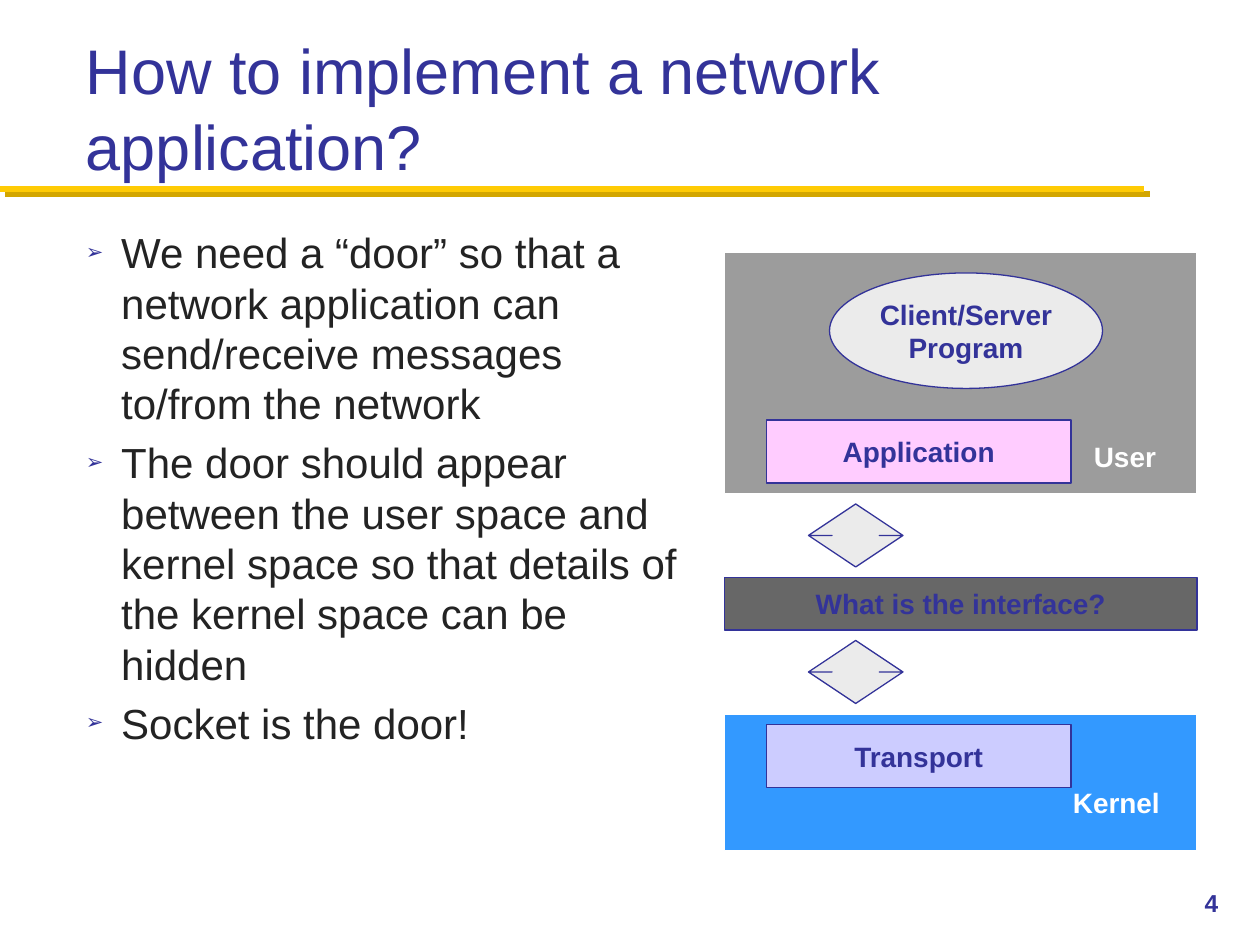
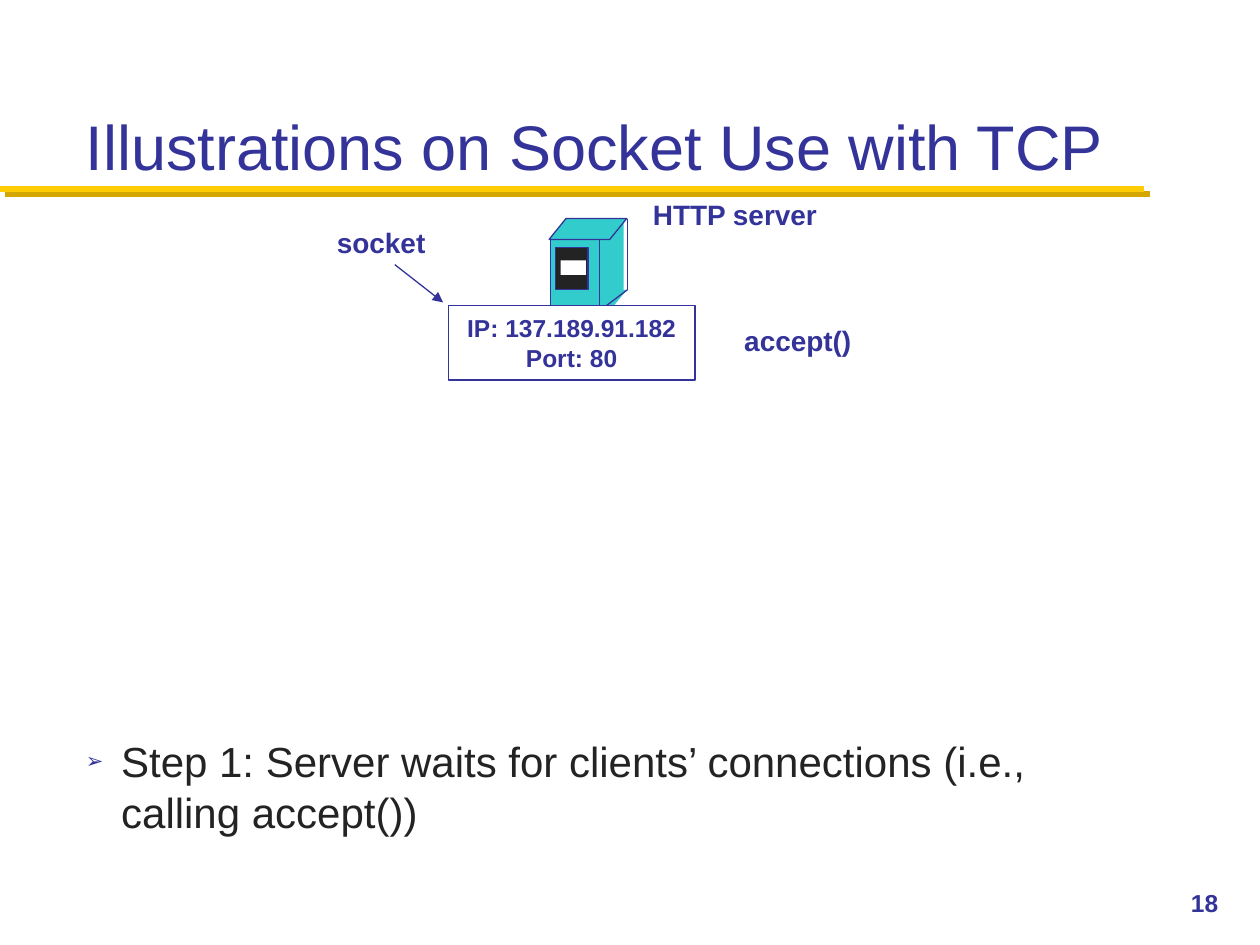
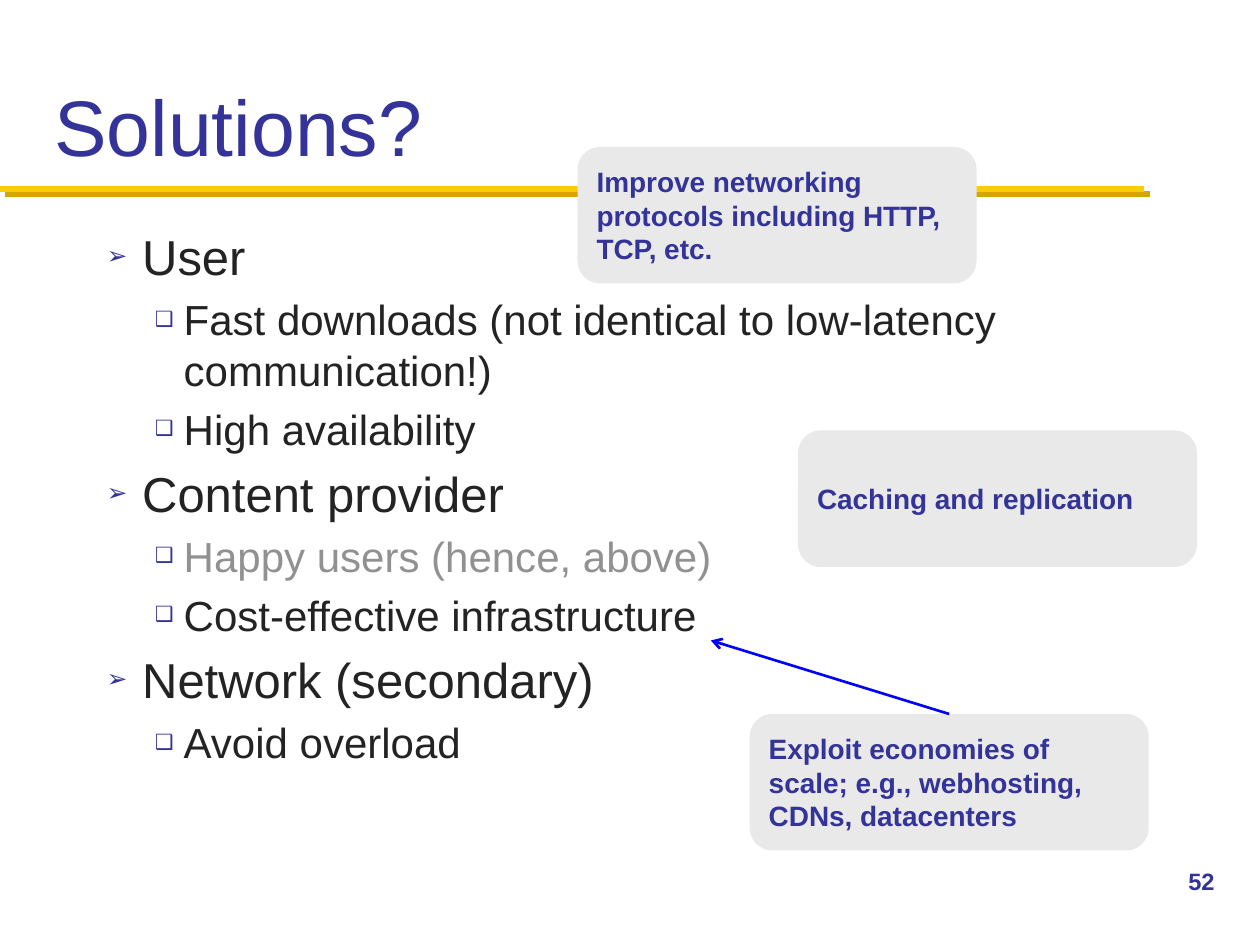
from lxml.etree import SubElement
from pptx import Presentation
from pptx.dml.color import RGBColor
from pptx.enum.shapes import MSO_CONNECTOR, MSO_SHAPE as Shape
from pptx.enum.text import MSO_ANCHOR as Anchor, PP_ALIGN as Align
from pptx.oxml.ns import qn
from pptx.util import Inches, Pt

color = RGBColor.from_string
NAVY, INK, GRAY, WHITE = "333399", "232323", "919191", "FFFFFF"
GOLD, DARK_GOLD, BLUE = "FFCB05", "D3A600", "0000FF"
PALE, TEAL, CALLOUT = "EBEBEB", "33CCCC", "E9E9E9"

deck = Presentation()
deck.slide_width, deck.slide_height = Inches(10), Inches(7.5)
COLUMN, ROW = deck.slide_width / 120, deck.slide_height / 90


def add_box(page, kind, at, text=(), fill=None, line=None, size=16, ink=NAVY,
            bold=True, align=Align.LEFT, anchor=Anchor.TOP, wrap=False):
    left, top, width, height = at
    place = [int(n) for n in (left * COLUMN, top * ROW, width * COLUMN, height * ROW)]
    if kind is None:
        box = page.shapes.add_textbox(*place)
    else:
        box = page.shapes.add_shape(kind, *place)
        box.shadow.inherit = False
        box.fill.solid()
        box.fill.fore_color.rgb = color(fill)
        if line:
            box.line.color.rgb = color(line)
            box.line.width = Pt(0.75)
        else:
            box.line.fill.background()
    frame = box.text_frame
    frame.word_wrap, frame.vertical_anchor = wrap, anchor
    for index, words in enumerate(text):
        para = frame.add_paragraph() if index else frame.paragraphs[0]
        para.alignment = align
        span = para.add_run()
        span.text = words
        for name, value in {"name": "Arial", "size": Pt(size), "bold": bold}.items():
            setattr(span.font, name, value)
        span.font.color.rgb = color(ink)
    return box


def add_line(page, start, end, ink=NAVY, weight=0.75, head=None):
    (x1, y1), (x2, y2) = start, end
    line = page.shapes.add_connector(
        MSO_CONNECTOR.STRAIGHT, int(x1 * COLUMN), int(y1 * ROW), int(x2 * COLUMN), int(y2 * ROW))
    line.line.color.rgb = color(ink)
    line.line.width = Pt(weight)
    if head:
        SubElement(line.line._get_or_add_ln(), qn("a:tailEnd"), type=head)
    SubElement(line._element.spPr, qn("a:effectLst"))
    return line


bullet_levels = [("➢", 0.28, -0.28), ("❑", 0.61, -0.23)]
outlines = [
    {"title": "How to implement a network application?", "title_at": (7, 3, 102.4, 15),
     "title_size": 36, "body_at": (7, 21, 60.4, 61),
     "number": "4", "number_at": (109, 84, 8.2, 6), "number_size": 14, "number_align": Align.RIGHT,
     "bullets": [
         (0, 24, INK, "We need a “door” so that a network application can send/receive messages to/from the network"),
         (0, 24, INK, "The door should appear between the user space and kernel space so that details of the kernel space can be hidden"),
         (0, 24, INK, "Socket is the door!")]},
    {"title": "Illustrations on Socket Use with TCP", "title_at": (7, 3, 113, 15),
     "title_size": 36, "body_at": (7, 69.5, 102, 12.5),
     "number": "18", "number_at": (109, 84, 8.2, 6), "number_size": 14, "number_align": Align.RIGHT,
     "bullets": [
         (0, 24, INK, "Step 1: Server waits for clients’ connections (i.e., calling accept())")]},
    {"title": "Solutions?", "title_at": (4, 2, 112, 15),
     "title_size": 45, "body_at": (9, 21, 104, 58),
     "number": "52", "number_at": (112, 82, 8, 6), "number_size": 13.5, "number_align": Align.LEFT,
     "bullets": [
         (0, 28, INK, "User"),
         (1, 24, INK, "Fast downloads (not identical to low-latency communication!)"),
         (1, 24, INK, "High availability"),
         (0, 28, INK, "Content provider"),
         (1, 24, GRAY, "Happy users (hence, above)"),
         (1, 24, INK, "Cost-effective infrastructure"),
         (0, 28, INK, "Network (secondary)"),
         (1, 24, INK, "Avoid overload")]},
]

pages = []
for outline in outlines:
    page = deck.slides.add_slide(deck.slide_layouts[6])
    pages.append(page)
    for offset, ink in ((0.5, DARK_GOLD), (0, GOLD)):
        add_line(page, (offset, 18 + offset), (109 + offset, 18 + offset), ink, 3.5)
    add_box(page, None, outline["title_at"], [outline["title"]], size=outline["title_size"],
            bold=False, anchor=Anchor.BOTTOM, wrap=True)
    add_box(page, None, outline["number_at"], [outline["number"]], size=outline["number_size"],
            align=outline["number_align"], wrap=True)
    frame = add_box(page, None, outline["body_at"], wrap=True).text_frame
    for index, (level, size, ink, words) in enumerate(outline["bullets"]):
        para = frame.add_paragraph() if index else frame.paragraphs[0]
        para.level = level
        if index:
            para.space_before = Pt(size * 0.2)
        mark, margin, indent = bullet_levels[level]
        props = para._p.get_or_add_pPr()
        props.set("marL", str(Inches(margin)))
        props.set("indent", str(Inches(indent)))
        SubElement(SubElement(props, qn("a:buClr")), qn("a:srgbClr"), val=NAVY)
        SubElement(props, qn("a:buSzPct"), val="50000")
        SubElement(props, qn("a:buFont"), typeface="Arial")
        SubElement(props, qn("a:buChar"), char=mark)
        span = para.add_run()
        span.text = words
        span.font.name, span.font.size = "Arial", Pt(size)
        span.font.color.rgb = color(ink)

door_page, socket_page, solutions_page = pages
centered = {"align": Align.CENTER, "anchor": Anchor.MIDDLE}

for kind, at, text, fill, line in [
    (Shape.RECTANGLE, (69, 24, 45, 23), [], "9C9C9C", WHITE),
    (Shape.RECTANGLE, (69, 68, 45, 13), [], "3399FF", WHITE),
    (Shape.RECTANGLE, (73, 40, 29, 6), ["Application"], "FFCCFF", NAVY),
    (Shape.RECTANGLE, (73, 69, 29, 6), ["Transport"], "CCCCFF", NAVY),
    (Shape.OVAL, (79, 26, 26, 11), ["Client/Server", "Program"], PALE, NAVY),
    (Shape.RECTANGLE, (69, 55, 45, 5), ["What is the interface?"], "676767", NAVY),
]:
    add_box(door_page, kind, at, text, fill, line, **centered)
for words, at in (("Kernel", (101, 74.25, 11.9, 4.8)), ("User", (103, 41.25, 9.25, 4.8))):
    add_box(door_page, None, at, [words], ink=WHITE)
for top in (48, 61):
    arrow = add_box(door_page, Shape.UP_DOWN_ARROW, (77, top, 9, 6), fill=PALE, line=NAVY)
    arrow.adjustments[0], arrow.adjustments[1] = 0.2, 0.5

for kind, at, fill, line in [
    (Shape.PARALLELOGRAM, (52.3, 27.6, 7.4, 2), TEAL, None),
    (Shape.RECTANGLE, (56, 20.8, 3.4, 6.8), TEAL, None),
    (Shape.RECTANGLE, (52.4, 22.7, 4.7, 6.8), TEAL, NAVY),
    (Shape.PARALLELOGRAM, (52.3, 20.8, 7.4, 2), TEAL, NAVY),
    (Shape.RECTANGLE, (52.9, 23.6, 3.1, 4), INK, NAVY),
    (Shape.RECTANGLE, (53.4, 24.8, 2.4, 1.4), WHITE, None),
]:
    part = add_box(socket_page, kind, at, fill=fill, line=line)
    if kind == Shape.PARALLELOGRAM:
        part.adjustments[0] = 0.81
for start, end in (((59.75, 20.9), (59.75, 27.6)), ((59.75, 27.6), (57.1, 29.6))):
    add_line(socket_page, start, end)
add_box(socket_page, Shape.RECTANGLE, (42.7, 29.1, 23.5, 7.1),
        ["IP: 137.189.91.182", "Port: 80"], WHITE, NAVY, size=14, **centered)
for words, at in [
    ("HTTP server", (61, 18.2, 19.6, 4.8)),
    ("accept()", (69.7, 30.2, 13.3, 4.8)),
    ("socket", (30.9, 20.9, 11.2, 4.8)),
]:
    add_box(socket_page, None, at, [words])
add_line(socket_page, (37.6, 25.2), (42.2, 28.8), head="triangle")

for left, top, words in [
    (55, 14, "Improve networking protocols including HTTP, TCP, etc."),
    (76, 41, "Caching and replication"),
    (71.4, 68, "Exploit economies of scale; e.g., webhosting, CDNs, datacenters"),
]:
    callout = add_box(solutions_page, Shape.ROUNDED_RECTANGLE, (left, top, 38, 13), [words],
                      CALLOUT, anchor=Anchor.MIDDLE, wrap=True)
pointer = add_line(solutions_page, (90.4, 68), (67.7, 61), BLUE, 1.5, "arrow")
pointer.begin_connect(callout, 0)

deck.save("out.pptx")
